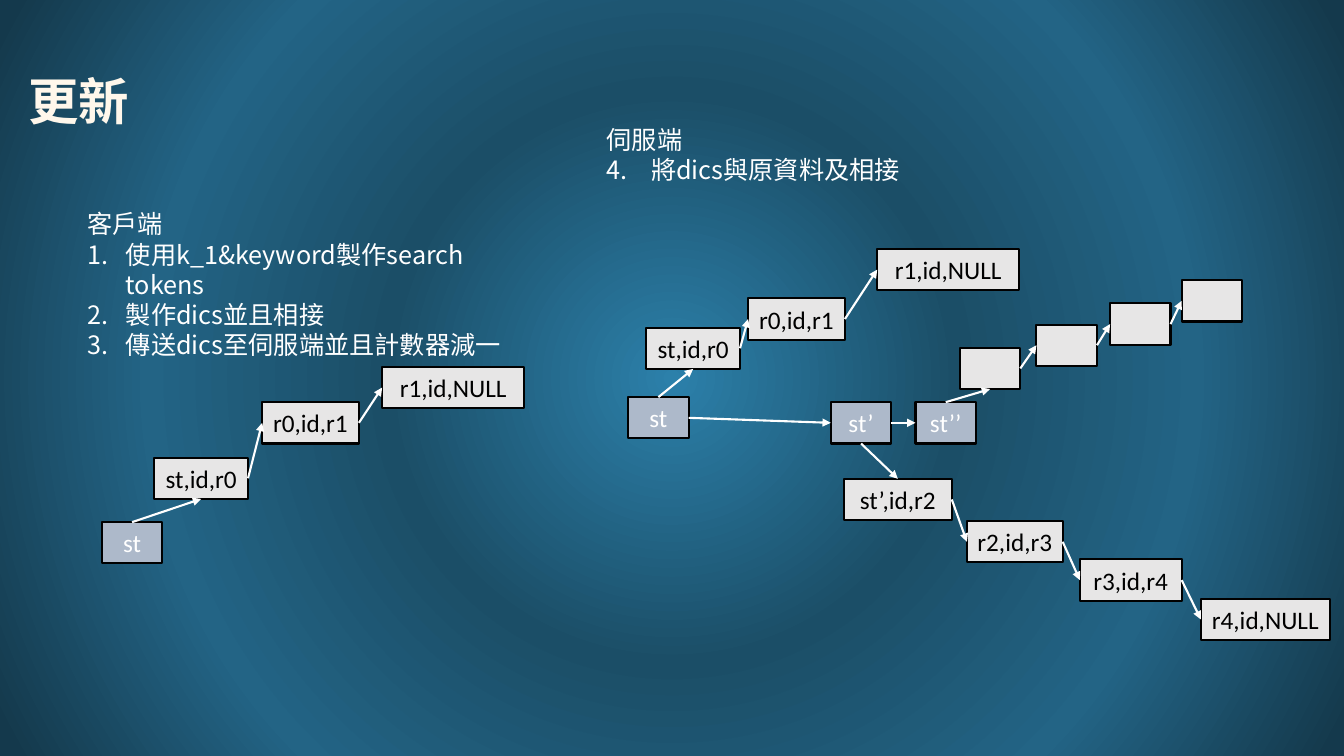
import pptx
import pptx.dml.color
import pptx.enum.shapes
import pptx.enum.text
import pptx.oxml
import pptx.oxml.ns
import pptx.util

PX = 9144  # EMU in one px, 100 px to the inch
CJK = "Noto Sans CJK SC"
WHITE, BLACK, CREAM = "FFFFFF", "000000", "FFF7EB"
STATE, ENTRY = "ADB9CA", "E7E6E6"
TOP, LEFT, BOTTOM, RIGHT = range(4)
ALIGN = pptx.enum.text.PP_ALIGN
MIDDLE = pptx.enum.text.MSO_ANCHOR.MIDDLE


def color(value):
    return pptx.dml.color.RGBColor.from_string(value)


def write(frame, text, font=CJK, size=18, ink=WHITE, bold=False, align=ALIGN.LEFT,
          anchor=None, wrap=True, spacing=None, indent=0, start=1):
    """Fill a frame line by line; with an indent, lines after the first are numbered."""
    frame.word_wrap = wrap
    frame.vertical_anchor = anchor
    for row, line in enumerate(text.split("\n")):
        paragraph = frame.add_paragraph() if row else frame.paragraphs[0]
        paragraph.alignment = align
        paragraph.line_spacing = spacing
        if indent and row:
            properties = paragraph._p.get_or_add_pPr()
            properties.set("marL", str(indent * PX))
            properties.set("indent", str(-indent * PX))
            number = pptx.oxml.parse_xml(
                f'<a:buAutoNum {pptx.oxml.ns.nsdecls("a")} type="arabicPeriod" startAt="{start}"/>')
            properties.append(number)
        run = paragraph.add_run()
        run.text = line
        run.font.name = font
        run.font.size = pptx.util.Pt(size)
        run.font.bold = bold
        run.font.color.rgb = color(ink)
        east_asian = pptx.oxml.parse_xml(
            f'<a:ea {pptx.oxml.ns.nsdecls("a")} typeface="{font}"/>')
        run.font._element.append(east_asian)


deck = pptx.Presentation()
deck.slide_width, deck.slide_height = 1333 * PX, 750 * PX
slide = deck.slides.add_slide(deck.slide_layouts[6])

# Radial background
glow = [(0, "2C80AA"), (37, "1B4E67"), (68, "236485"), (98, "14394C")]
stops = "".join(f'<a:gs pos="{at * 1000}"><a:srgbClr val="{tone}"/></a:gs>' for at, tone in glow)
slide.background.fill.solid()
plain = slide.element.find(".//" + pptx.oxml.ns.qn("p:bgPr"))[0]
plain.getparent().replace(plain, pptx.oxml.parse_xml(
    f'<a:gradFill {pptx.oxml.ns.nsdecls("a")} rotWithShape="1"><a:gsLst>{stops}</a:gsLst>'
    '<a:path path="circle"><a:fillToRect l="50000" t="50000" r="50000" b="50000"/></a:path>'
    '</a:gradFill>'))

# Title and steps
texts = [
    ((18, 31, 1150, 145), "更新",
     dict(size=36, ink=CREAM, bold=True, anchor=MIDDLE, spacing=0.9)),
    ((77, 202, 462, 131),
     "客戶端\n使用k_1&keyword製作search tokens\n製作dics並且相接\n傳送dics至伺服端並且計數器減一",
     dict(indent=38)),
    ((592, 118, 336, 71), "伺服端\n將dics與原資料及相接", dict(indent=44, start=4)),
]
for place, text, style in texts:
    box = slide.shapes.add_textbox(*(length * PX for length in place))
    write(box.text_frame, text, **style)

# Nodes: key, left, top, width, text, fill
nodes = [
    ("client st", 101, 518, 60, "st", STATE),
    ("client r0", 153, 454, 93, "st,id,r0", ENTRY),
    ("client r1", 260, 399, 96, "r0,id,r1", ENTRY),
    ("client end", 379, 364, 141, "r1,id,NULL", ENTRY),
    ("st", 623, 394, 60, "st", STATE),
    ("st’", 824, 399, 60, "st’", STATE),
    ("st’’", 908, 399, 60, "st’’", STATE),
    ("r0", 641, 325, 93, "st,id,r0", ENTRY),
    ("r1", 742, 296, 96, "r0,id,r1", ENTRY),
    ("r1 end", 870, 247, 141, "r1,id,NULL", ENTRY),
    ("r2", 837, 475, 107, "st’,id,r2", ENTRY),
    ("r3", 959, 517, 95, "r2,id,r3", ENTRY),
    ("r4", 1071, 555, 101, "r3,id,r4", ENTRY),
    ("r4 end", 1191, 594, 128, "r4,id,NULL", ENTRY),
    ("blank 1", 952, 345, 60, "", ENTRY),
    ("blank 2", 1028, 322, 60, "", ENTRY),
    ("blank 3", 1101, 301, 60, "", ENTRY),
    ("blank 4", 1172, 278, 60, "", ENTRY),
]
placed = {}
for key, left, top, width, text, fill in nodes:
    node = slide.shapes.add_shape(pptx.enum.shapes.MSO_SHAPE.RECTANGLE,
                                  left * PX, top * PX, width * PX, 41 * PX)
    node.shadow.inherit = False
    node.fill.solid()
    node.fill.fore_color.rgb = color(fill)
    node.line.color.rgb = color(BLACK)
    node.line.width = pptx.util.Pt(1.5)
    if text:
        write(node.text_frame, text, font="Calibri", ink=WHITE if fill == STATE else BLACK,
              align=ALIGN.CENTER, anchor=MIDDLE, wrap=False)
    placed[key] = node

# Each chain leaves its state vertically, then runs from side to side
chains = [
    (TOP, BOTTOM, ["client st", "client r0", "client r1", "client end"]),
    (TOP, BOTTOM, ["st", "r0", "r1", "r1 end"]),
    (BOTTOM, TOP, ["st’", "r2", "r3", "r4", "r4 end"]),
    (TOP, BOTTOM, ["st’’", "blank 1", "blank 2", "blank 3", "blank 4"]),
    (RIGHT, LEFT, ["st", "st’", "st’’"]),
]
for first_exit, first_entry, chain in chains:
    for step, (source, target) in enumerate(zip(chain, chain[1:])):
        exit_side, entry_side = (RIGHT, LEFT) if step else (first_exit, first_entry)
        arrow = slide.shapes.add_connector(pptx.enum.shapes.MSO_CONNECTOR.STRAIGHT, 0, 0, 0, 0)
        arrow.begin_connect(placed[source], exit_side)
        arrow.end_connect(placed[target], entry_side)
        arrow.line.color.rgb = color(WHITE)
        arrow.line.width = pptx.util.Pt(1.5)
        arrow.line._get_or_add_ln().append(pptx.oxml.parse_xml(
            f'<a:tailEnd {pptx.oxml.ns.nsdecls("a")} type="triangle"/>'))
        arrow._element.spPr.append(pptx.oxml.parse_xml(
            f'<a:effectLst {pptx.oxml.ns.nsdecls("a")}/>'))

deck.save("out.pptx")
